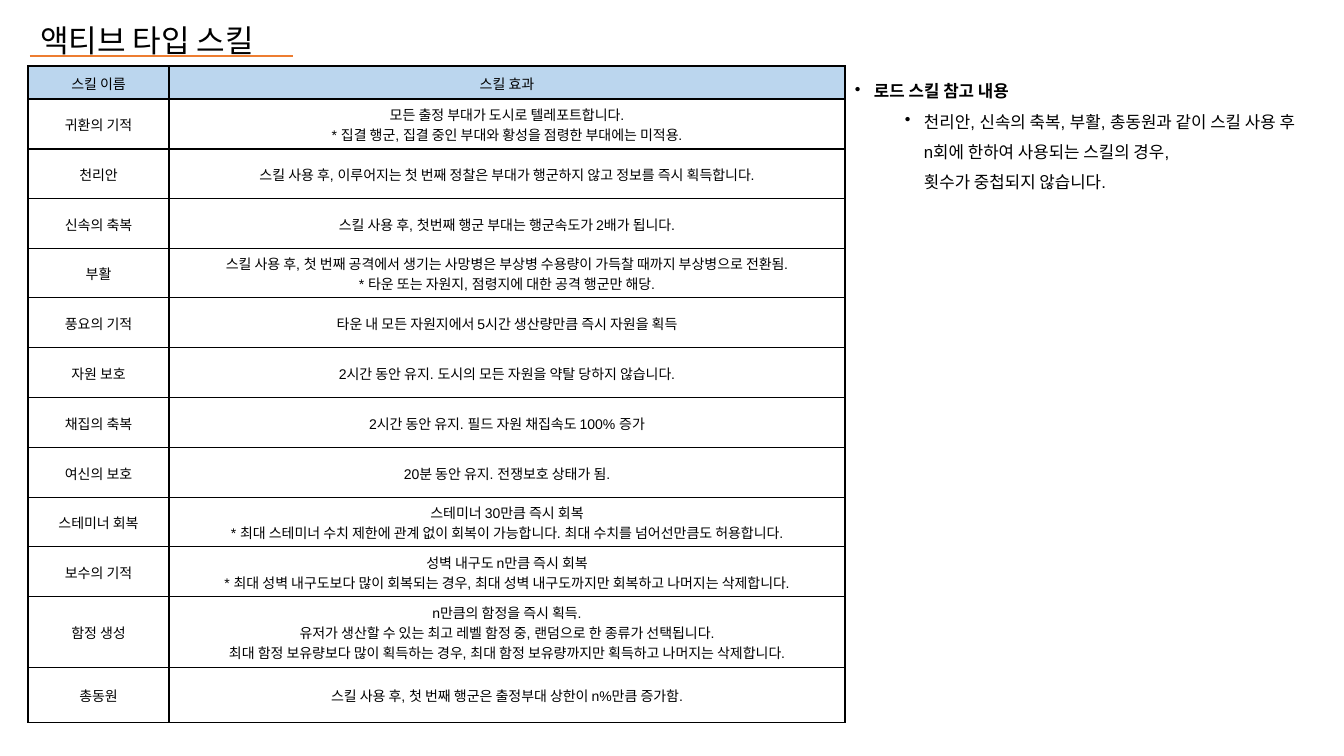
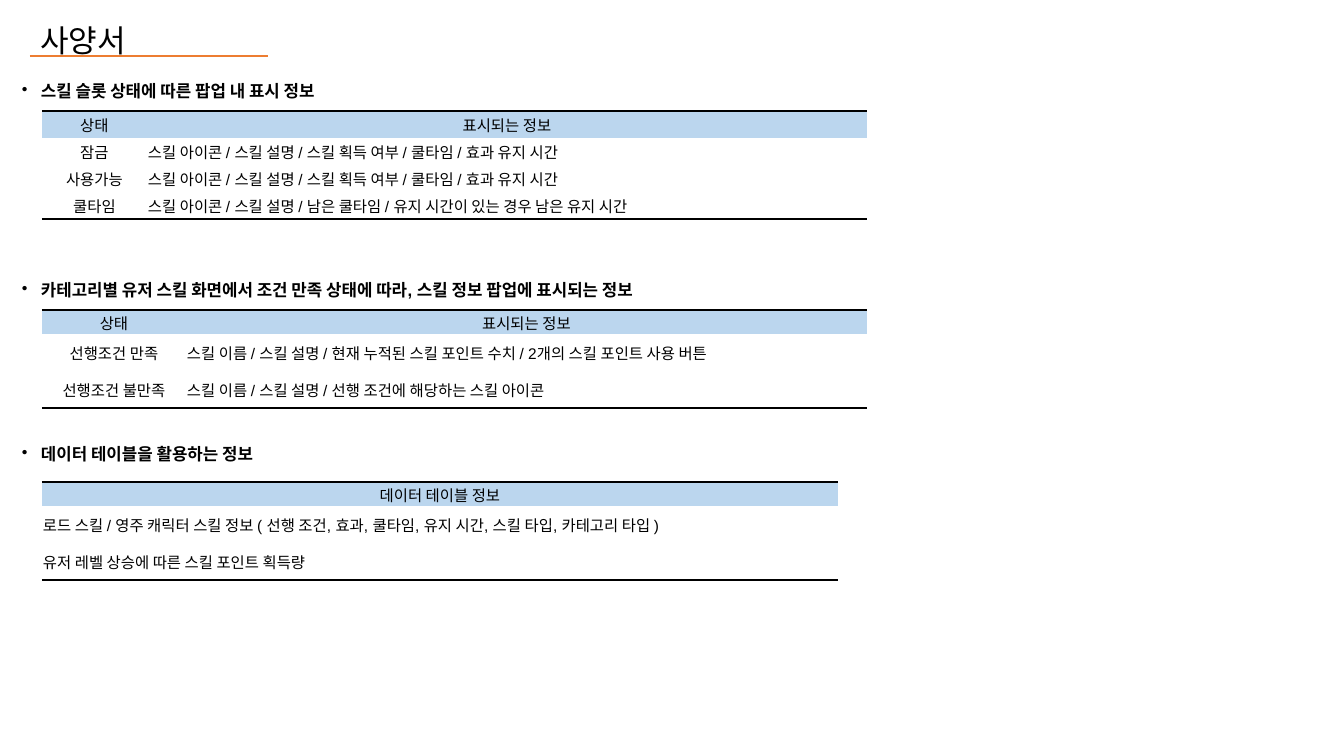
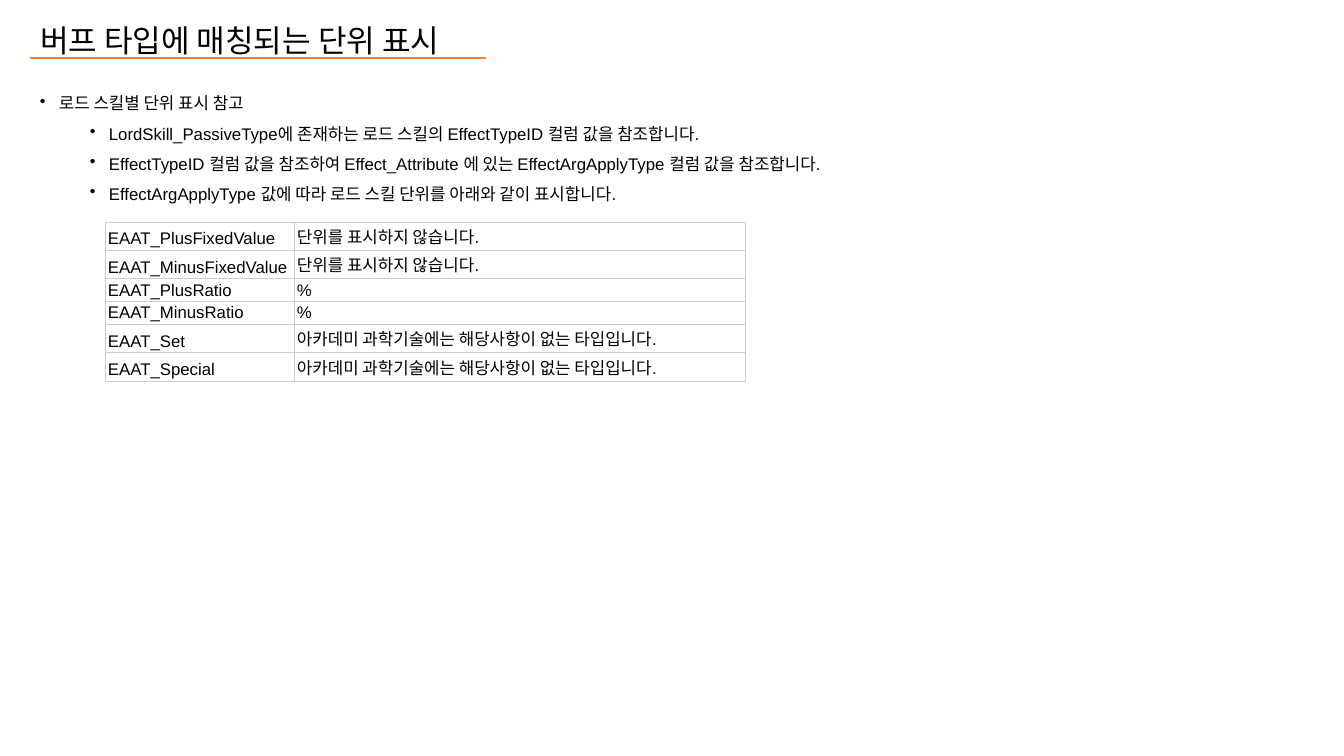
import pptx
import pptx.dml.color
import pptx.enum.shapes
import pptx.enum.text
import pptx.oxml
import pptx.oxml.ns
import pptx.util

RGBColor = pptx.dml.color.RGBColor
Align = pptx.enum.text.PP_ALIGN
Anchor = pptx.enum.text.MSO_ANCHOR

BLACK = RGBColor(0x00, 0x00, 0x00)
ORANGE = RGBColor(0xED, 0x7D, 0x31)
HEADER_BLUE = RGBColor(0xBB, 0xD6, 0xEE)
GRID_GRAY = RGBColor(0xCC, 0xCC, 0xCC)
FONT = "Arial"
PX_PER_INCH = 100.8
TITLE_ONLY = 5
BULLET_INDENT = 19
LEVEL_STEP = 50

SKILLS = [
    ("스킬 이름", "스킬 효과"),
    ("귀환의 기적", "모든 출정 부대가 도시로 텔레포트합니다.\v* 집결 행군, 집결 중인 부대와 황성을 점령한 부대에는 미적용."),
    ("천리안", "스킬 사용 후, 이루어지는 첫 번째 정찰은 부대가 행군하지 않고 정보를 즉시 획득합니다."),
    ("신속의 축복", "스킬 사용 후, 첫번째 행군 부대는 행군속도가 2배가 됩니다."),
    ("부활", "스킬 사용 후, 첫 번째 공격에서 생기는 사망병은 부상병 수용량이 가득찰 때까지 부상병으로 전환됨.\v"
           "* 타운 또는 자원지, 점령지에 대한 공격 행군만 해당."),
    ("풍요의 기적", "타운 내 모든 자원지에서 5시간 생산량만큼 즉시 자원을 획득"),
    ("자원 보호", "2시간 동안 유지. 도시의 모든 자원을 약탈 당하지 않습니다."),
    ("채집의 축복", "2시간 동안 유지. 필드 자원 채집속도 100% 증가"),
    ("여신의 보호", "20분 동안 유지. 전쟁보호 상태가 됨."),
    ("스테미너 회복", "스테미너 30만큼 즉시 회복\v"
                "* 최대 스테미너 수치 제한에 관계 없이 회복이 가능합니다. 최대 수치를 넘어선만큼도 허용합니다."),
    ("보수의 기적", "성벽 내구도 n만큼 즉시 회복\v"
               "* 최대 성벽 내구도보다 많이 회복되는 경우, 최대 성벽 내구도까지만 회복하고 나머지는 삭제합니다."),
    ("함정 생성", "n만큼의 함정을 즉시 획득.\n유저가 생산할 수 있는 최고 레벨 함정 중, 랜덤으로 한 종류가 선택됩니다.\n"
              "최대 함정 보유량보다 많이 획득하는 경우, 최대 함정 보유량까지만 획득하고 나머지는 삭제합니다."),
    ("총동원", "스킬 사용 후, 첫 번째 행군은 출정부대 상한이 n%만큼 증가함."),
]
SKILL_ROWS = [33] + [50, 50, 50, 49, 50] * 2 + [71, 55]
SKILL_NOTES = [
    (0, True, "로드 스킬 참고 내용"),
    (1, False, "천리안, 신속의 축복, 부활, 총동원과 같이 스킬 사용 후\vn회에 한하여 사용되는 스킬의 경우,\v횟수가 중첩되지 않습니다."),
]
SLOT_STATES = [
    ("상태", "표시되는 정보"),
    ("잠금", "스킬 아이콘 / 스킬 설명 / 스킬 획득 여부 / 쿨타임 / 효과 유지 시간"),
    ("사용가능", "스킬 아이콘 / 스킬 설명 / 스킬 획득 여부 / 쿨타임 / 효과 유지 시간"),
    ("쿨타임", "스킬 아이콘 / 스킬 설명 / 남은 쿨타임 / 유지 시간이 있는 경우 남은 유지 시간"),
]
CONDITION_STATES = [
    ("상태", "표시되는 정보"),
    ("선행조건 만족", "스킬 이름 / 스킬 설명 / 현재 누적된 스킬 포인트 수치 / 2개의 스킬 포인트 사용 버튼"),
    ("선행조건 불만족", "스킬 이름 / 스킬 설명 / 선행 조건에 해당하는 스킬 아이콘"),
]
DATA_TABLES = [
    ("데이터 테이블 정보",),
    ("로드 스킬 / 영주 캐릭터 스킬 정보 ( 선행 조건, 효과, 쿨타임, 유지 시간, 스킬 타입, 카테고리 타입 )",),
    ("유저 레벨 상승에 따른 스킬 포인트 획득량",),
]
INFO_SECTIONS = [
    (66, "스킬 슬롯 상태에 따른 팝업 내 표시 정보", 111, SLOT_STATES, [105, 720], [27] * 4),
    (265, "카테고리별 유저 스킬 화면에서 조건 만족 상태에 따라, 스킬 정보 팝업에 표시되는 정보",
     310, CONDITION_STATES, [144, 681], [24, 37, 37]),
    (429, "데이터 테이블을 활용하는 정보", 482, DATA_TABLES, [796], [24, 37, 37]),
]
UNIT_NOTES = [
    (0, False, "로드 스킬별 단위 표시 참고"),
    (1, False, "LordSkill_PassiveType에 존재하는 로드 스킬의 EffectTypeID 컬럼 값을 참조합니다."),
    (1, False, "EffectTypeID 컬럼 값을 참조하여 Effect_Attribute 에 있는 EffectArgApplyType 컬럼 값을 참조합니다."),
    (1, False, "EffectArgApplyType 값에 따라 로드 스킬 단위를 아래와 같이 표시합니다."),
]
UNITS = [
    ("EAAT_PlusFixedValue", "단위를 표시하지 않습니다."),
    ("EAAT_MinusFixedValue", "단위를 표시하지 않습니다."),
    ("EAAT_PlusRatio", "%"),
    ("EAAT_MinusRatio", "%"),
    ("EAAT_Set", "아카데미 과학기술에는 해당사항이 없는 타입입니다."),
    ("EAAT_Special", "아카데미 과학기술에는 해당사항이 없는 타입입니다."),
]


def px(length):
    """Turn pixels into EMU."""
    return pptx.util.Emu(round(length * 914400 / PX_PER_INCH))


def add_element(parent, tag, **attributes):
    """Append a DrawingML element to parent and return it."""
    element = pptx.oxml.parse_xml(f"<a:{tag} {pptx.oxml.ns.nsdecls('a')}/>")
    for name, value in attributes.items():
        element.set(name, str(value))
    parent.append(element)
    return element


def style_font(paragraph, size, bold=False):
    """Give a paragraph the deck's font."""
    font = paragraph.font
    font.name, font.size, font.bold = FONT, pptx.util.Pt(size), bold
    font.color.rgb = BLACK


def add_titled_slide(presentation, title, rule_right, rule_top=56):
    """Add a slide with its title and the orange rule below it."""
    slide = presentation.slides.add_slide(presentation.slide_layouts[TITLE_ONLY])
    shape = slide.shapes.title
    shape.left, shape.top, shape.width, shape.height = px(30), px(1), px(654), px(65)
    frame = shape.text_frame
    frame.text = title
    frame.word_wrap = True
    frame.auto_size = pptx.enum.text.MSO_AUTO_SIZE.NONE
    frame.vertical_anchor = Anchor.TOP
    paragraph = frame.paragraphs[0]
    paragraph.alignment = Align.LEFT
    paragraph.line_spacing = 1.4
    style_font(paragraph, 22.2)
    rule = slide.shapes.add_connector(
        pptx.enum.shapes.MSO_CONNECTOR.STRAIGHT, px(30), px(rule_top), px(rule_right), px(rule_top))
    rule.line.color.rgb = ORANGE
    rule.line.width = pptx.util.Pt(1.5)
    add_element(rule._element.spPr, "effectLst")
    return slide


def add_bullets(slide, left, top, width, height, items):
    """Add a text box of bullets given as (level, bold, text)."""
    frame = slide.shapes.add_textbox(px(left), px(top), px(width), px(height)).text_frame
    frame.word_wrap = True
    for index, (level, bold, text) in enumerate(items):
        paragraph = frame.add_paragraph() if index else frame.paragraphs[0]
        paragraph.text = text
        paragraph.level = level
        properties = paragraph._p.get_or_add_pPr()
        properties.set("marL", str(px(BULLET_INDENT + level * LEVEL_STEP)))
        properties.set("indent", str(px(-BULLET_INDENT)))
        add_element(add_element(properties, "buClr"), "srgbClr", val=BLACK)
        add_element(properties, "buChar", char="•")
        paragraph.line_spacing = 1.5
        style_font(paragraph, 12, bold)


def set_borders(cell, sides, color, width):
    """Draw the named sides of a cell and clear the others."""
    properties = cell._tc.get_or_add_tcPr()
    for side in "LRTB":
        line = add_element(properties, f"ln{side}", w=pptx.util.Pt(width))
        if side in sides:
            add_element(add_element(line, "solidFill"), "srgbClr", val=color)
        else:
            add_element(line, "noFill")


def add_grid(slide, left, top, columns, rows, records, size, has_header=True, centered_columns=0,
             boxed=False, color=BLACK, line_width=1, anchor=Anchor.MIDDLE, insets=(1, 1, 1, 0)):
    """Add a table, fully boxed or ruled only above and below."""
    table = slide.shapes.add_table(
        len(rows), len(columns), px(left), px(top), px(sum(columns)), px(sum(rows))).table
    table.first_row = table.horz_banding = False
    for column, width in zip(table.columns, columns):
        column.width = px(width)
    for row_index, (row, height, record) in enumerate(zip(table.rows, rows, records)):
        row.height = px(height)
        is_header = has_header and row_index == 0
        edges = ("T" if row_index == 0 else "") + ("B" if row_index == len(rows) - 1 else "")
        for column_index, (cell, text) in enumerate(zip(row.cells, record)):
            cell.margin_left, cell.margin_top, cell.margin_right, cell.margin_bottom = map(px, insets)
            cell.vertical_anchor = anchor
            set_borders(cell, "LRTB" if boxed else edges, color, line_width)
            if is_header:
                cell.fill.solid()
                cell.fill.fore_color.rgb = HEADER_BLUE
            else:
                cell.fill.background()
            cell.text_frame.text = text
            centered = is_header or column_index < centered_columns
            for paragraph in cell.text_frame.paragraphs:
                paragraph.alignment = Align.CENTER if centered else Align.LEFT
                style_font(paragraph, size)


def add_info_section(slide, heading_top, heading, table_top, records, columns, rows):
    """Add a bold bullet heading with its ruled table."""
    add_bullets(slide, 12, heading_top, 855, 40, [(0, True, heading)])
    add_grid(slide, 42, table_top, columns, rows, records, 11, centered_columns=len(columns) - 1)


def build_skill_slide(presentation):
    """Build the active skill slide."""
    slide = add_titled_slide(presentation, "액티브 타입 스킬", 293)
    add_grid(slide, 28, 66, [141, 676], SKILL_ROWS, SKILLS, 10, centered_columns=2, boxed=True)
    add_bullets(slide, 845, 66, 499, 132, SKILL_NOTES)


def build_specification_slide(presentation):
    """Build the specification slide."""
    slide = add_titled_slide(presentation, "사양서", 268)
    for section in INFO_SECTIONS:
        add_info_section(slide, *section)


def build_unit_slide(presentation):
    """Build the slide on units for each buff type."""
    slide = add_titled_slide(presentation, "버프 타입에 매칭되는 단위 표시", 486, rule_top=58)
    add_grid(slide, 105, 222, [189, 451], [21] * 6, UNITS, 12, has_header=False, boxed=True,
             color=GRID_GRAY, line_width=0.75, anchor=Anchor.BOTTOM, insets=(3, 2, 3, 2))
    add_bullets(slide, 30, 78, 1297, 132, UNIT_NOTES)


def main():
    """Build and save the presentation."""
    presentation = pptx.Presentation()
    presentation.slide_width, presentation.slide_height = px(1344), px(756)
    build_skill_slide(presentation)
    build_specification_slide(presentation)
    build_unit_slide(presentation)
    presentation.save("out.pptx")


if __name__ == "__main__":
    main()
